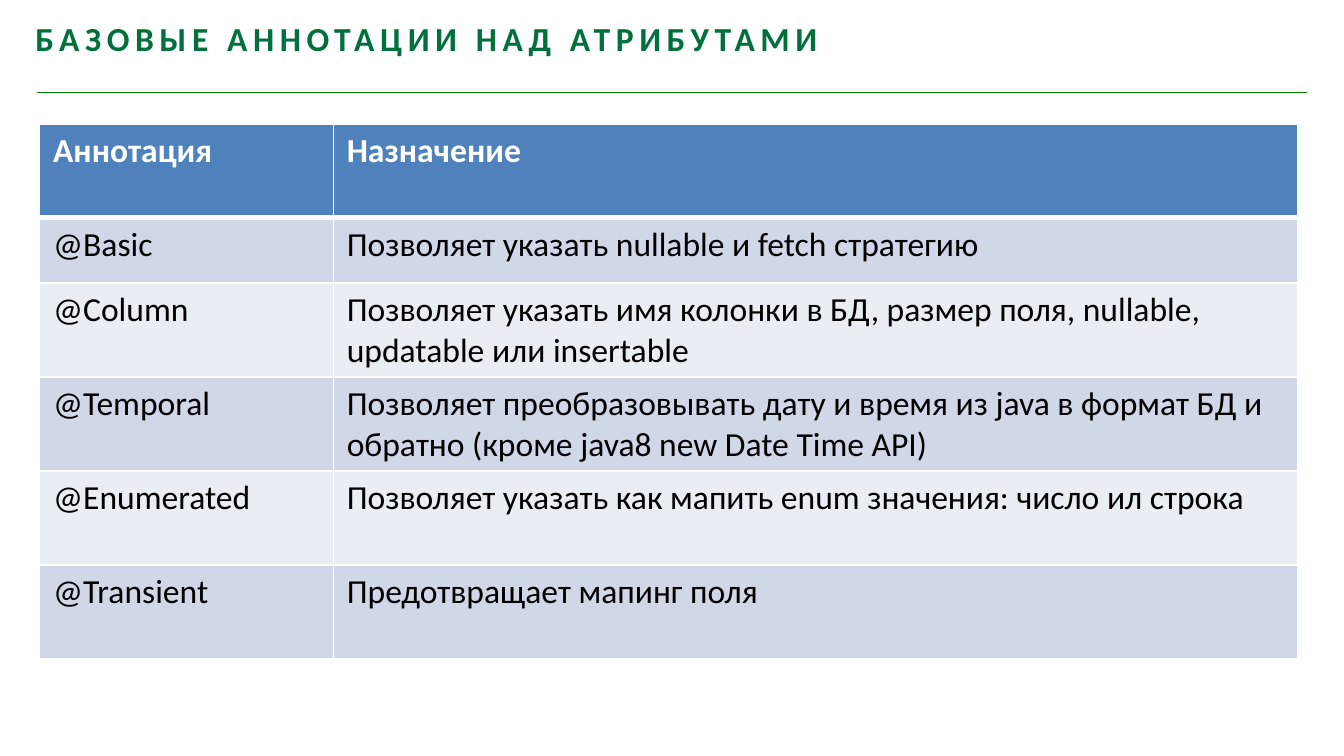
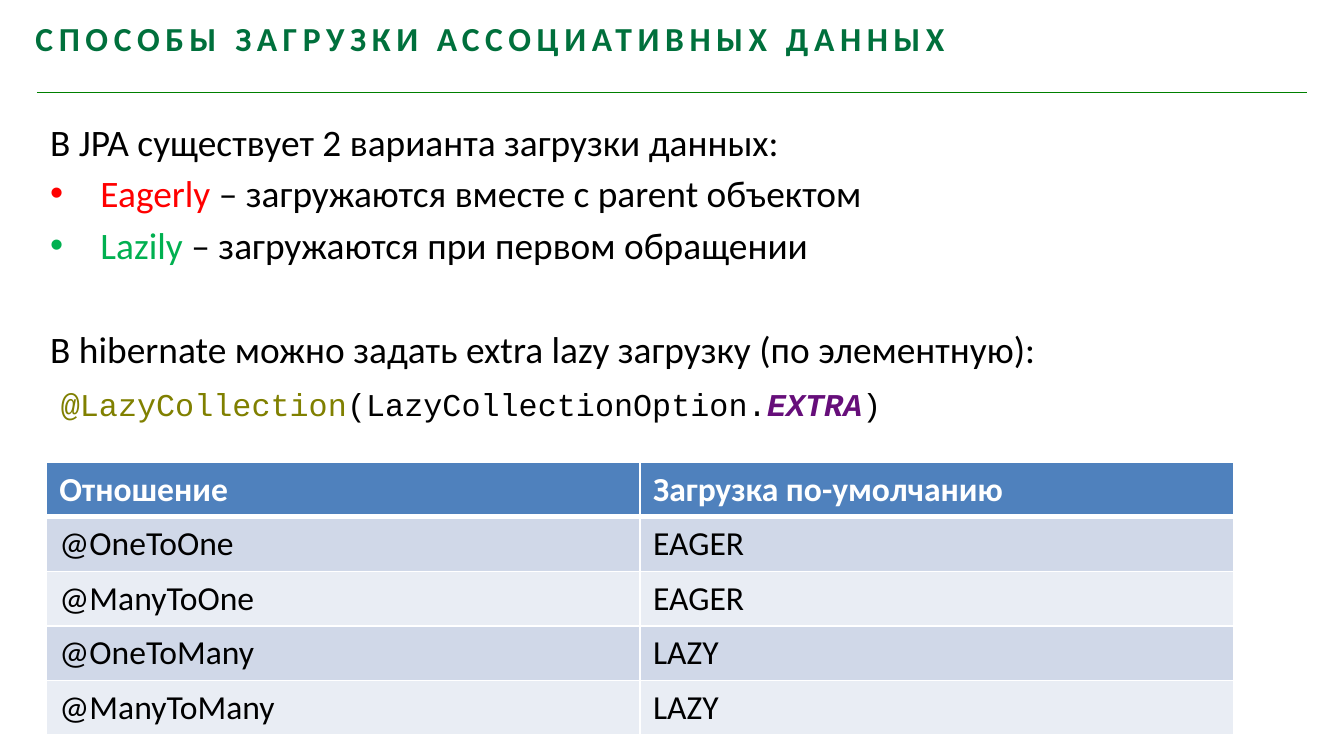
from dataclasses import dataclass

from lxml import etree
from pptx import Presentation
from pptx.dml.color import RGBColor
from pptx.enum import shapes, text
from pptx.oxml import ns
from pptx.util import Cm, Pt


@dataclass(frozen=True)
class Theme:
    font: str = "Calibri"
    mono: str = "Courier New"
    title: str = "00703C"
    rule: str = "008000"
    black: str = "000000"
    white: str = "FFFFFF"
    header: str = "4F81BD"
    bands: tuple = ("D0D8E8", "E9EDF4")
    eager: str = "FF0000"
    lazy: str = "00B050"
    annotation: str = "808000"
    constant: str = "660E7A"
    title_size: float = 18
    body_size: float = 20
    code_size: float = 17
    cell_size: float = 18
    gap: float = 3.5
    section_gap: float = 32


T = Theme()


# Text
def add_run(p, content, size=T.body_size, color=T.black, font=T.font,
            bold=False, italic=False, spacing=None):
    r = p.add_run()
    r.text = content
    r.font.size = Pt(size)
    r.font.name = font
    r.font.bold = bold
    r.font.italic = italic
    r.font.color.rgb = RGBColor.from_string(color)
    if spacing:
        r.font._element.set("spc", str(spacing * 100))


def add_bullet(p, indent):
    pPr = p._p.get_or_add_pPr()
    pPr.set("marL", str(indent))
    pPr.set("indent", str(-indent))
    etree.SubElement(pPr, ns.qn("a:buFont"), typeface="Arial")
    etree.SubElement(pPr, ns.qn("a:buChar"), char="•")


def add_paragraphs(slide, box, paragraphs):
    """Each paragraph is (space before, bulleted, [(text, colour), ...])."""
    tf = slide.shapes.add_textbox(*map(Cm, box)).text_frame
    tf.word_wrap = True
    for i, (gap, bulleted, runs) in enumerate(paragraphs):
        p = tf.add_paragraph() if i else tf.paragraphs[0]
        p.space_before = Pt(gap)
        if bulleted:
            add_bullet(p, Cm(0.95))
        for content, color in runs:
            add_run(p, content, color=color)


def add_code(slide, box, runs):
    sp = slide.shapes.add_shape(shapes.MSO_SHAPE.RECTANGLE, *map(Cm, box))
    sp.shadow.inherit = False
    sp.fill.solid()
    sp.fill.fore_color.rgb = RGBColor.from_string(T.white)
    sp.line.fill.background()
    tf = sp.text_frame
    tf.word_wrap = False
    tf.vertical_anchor = text.MSO_ANCHOR.MIDDLE
    p = tf.paragraphs[0]
    p.alignment = text.PP_ALIGN.LEFT
    for content, color, strong in runs:
        add_run(p, content, size=T.code_size, font=T.mono, color=color,
                bold=strong, italic=strong)


# Tables
def set_borders(cell, bottom):
    tcPr = cell._tc.get_or_add_tcPr()
    for side, width in (("L", 1), ("R", 1), ("T", 1), ("B", bottom)):
        ln = etree.SubElement(tcPr, ns.qn(f"a:ln{side}"), w=str(Pt(width)))
        fill = etree.SubElement(ln, ns.qn("a:solidFill"))
        etree.SubElement(fill, ns.qn("a:srgbClr"), val=T.white)


def add_table(slide, left, top, widths, heights, rows):
    table = slide.shapes.add_table(
        len(rows), len(widths), Cm(left), Cm(top),
        Cm(sum(widths)), Cm(sum(heights))).table
    for column, width in zip(table.columns, widths):
        column.width = Cm(width)
    for i, (row, height, values) in enumerate(zip(table.rows, heights, rows)):
        row.height = Cm(height)
        is_header = i == 0
        color = T.header if is_header else T.bands[(i - 1) % 2]
        for cell, value in zip(row.cells, values):
            set_borders(cell, bottom=3 if is_header else 1)
            cell.fill.solid()
            cell.fill.fore_color.rgb = RGBColor.from_string(color)
            add_run(cell.text_frame.paragraphs[0], value, size=T.cell_size,
                    color=T.white if is_header else T.black, bold=is_header)


# Shared slide frame: title and rule
def add_slide(prs, title):
    slide = prs.slides.add_slide(prs.slide_layouts[6])
    rule = slide.shapes.add_connector(
        shapes.MSO_CONNECTOR.STRAIGHT, Cm(0.7), Cm(1.75), Cm(24.7), Cm(1.75))
    rule.line.color.rgb = RGBColor.from_string(T.rule)
    rule.line.width = Pt(0.75)
    etree.SubElement(rule._element.spPr, ns.qn("a:effectLst"))

    tf = slide.shapes.add_textbox(Cm(0.67), Cm(0.22), Cm(18.2), Cm(0.9)).text_frame
    tf.word_wrap = True
    tf.margin_left = tf.margin_bottom = 0
    p = tf.paragraphs[0]
    p.space_before = Pt(T.gap)
    add_run(p, title, size=T.title_size, color=T.title, bold=True, spacing=3)
    return slide


# Slides
def build_annotations(prs):
    slide = add_slide(prs, "БАЗОВЫЕ АННОТАЦИИ НАД АТРИБУТАМИ")
    add_table(slide, 0.75, 2.34, [5.55, 18.22], [1.77, 1.24] + [1.77] * 4, [
        ("Аннотация", "Назначение"),
        ("@Basic", "Позволяет указать nullable и fetch стратегию"),
        ("@Column", "Позволяет указать имя колонки в БД, размер поля, "
                    "nullable, updatable или insertable"),
        ("@Temporal", "Позволяет преобразовывать дату и время из java в "
                      "формат БД и обратно (кроме java8 new Date Time API)"),
        ("@Enumerated", "Позволяет указать как мапить enum значения: "
                        "число ил строка"),
        ("@Transient", "Предотвращает мапинг поля"),
    ])


def build_loading(prs):
    slide = add_slide(prs, "СПОСОБЫ ЗАГРУЗКИ АССОЦИАТИВНЫХ ДАННЫХ")
    add_paragraphs(slide, (0.7, 2.13, 24, 11.2), [
        (T.gap, False, [("В JPA существует 2 варианта загрузки данных:", T.black)]),
        (T.gap, True, [("Eagerly", T.eager),
                       (" – загружаются вместе с parent объектом", T.black)]),
        (T.gap, True, [("Lazily", T.lazy),
                       (" – загружаются при первом обращении", T.black)]),
        (T.section_gap, False, [("В hibernate можно задать extra lazy загрузку "
                                 "(по элементную):", T.black)]),
    ])
    add_code(slide, (0.9, 7.14, 16.2, 1), [
        ("@LazyCollection", T.annotation, False),
        ("(LazyCollectionOption.", T.black, False),
        ("EXTRA", T.constant, True),
        (")", T.black, False),
    ])
    add_table(slide, 0.87, 8.74, [11.22] * 2, [1.03] * 5, [
        ("Отношение", "Загрузка по-умолчанию"),
        ("@OneToOne", "EAGER"),
        ("@ManyToOne", "EAGER"),
        ("@OneToMany", "LAZY"),
        ("@ManyToMany", "LAZY"),
    ])


def main():
    prs = Presentation()
    prs.slide_width, prs.slide_height = Cm(25.4), Cm(14.29)
    build_annotations(prs)
    build_loading(prs)
    prs.save("out.pptx")


if __name__ == "__main__":
    main()
